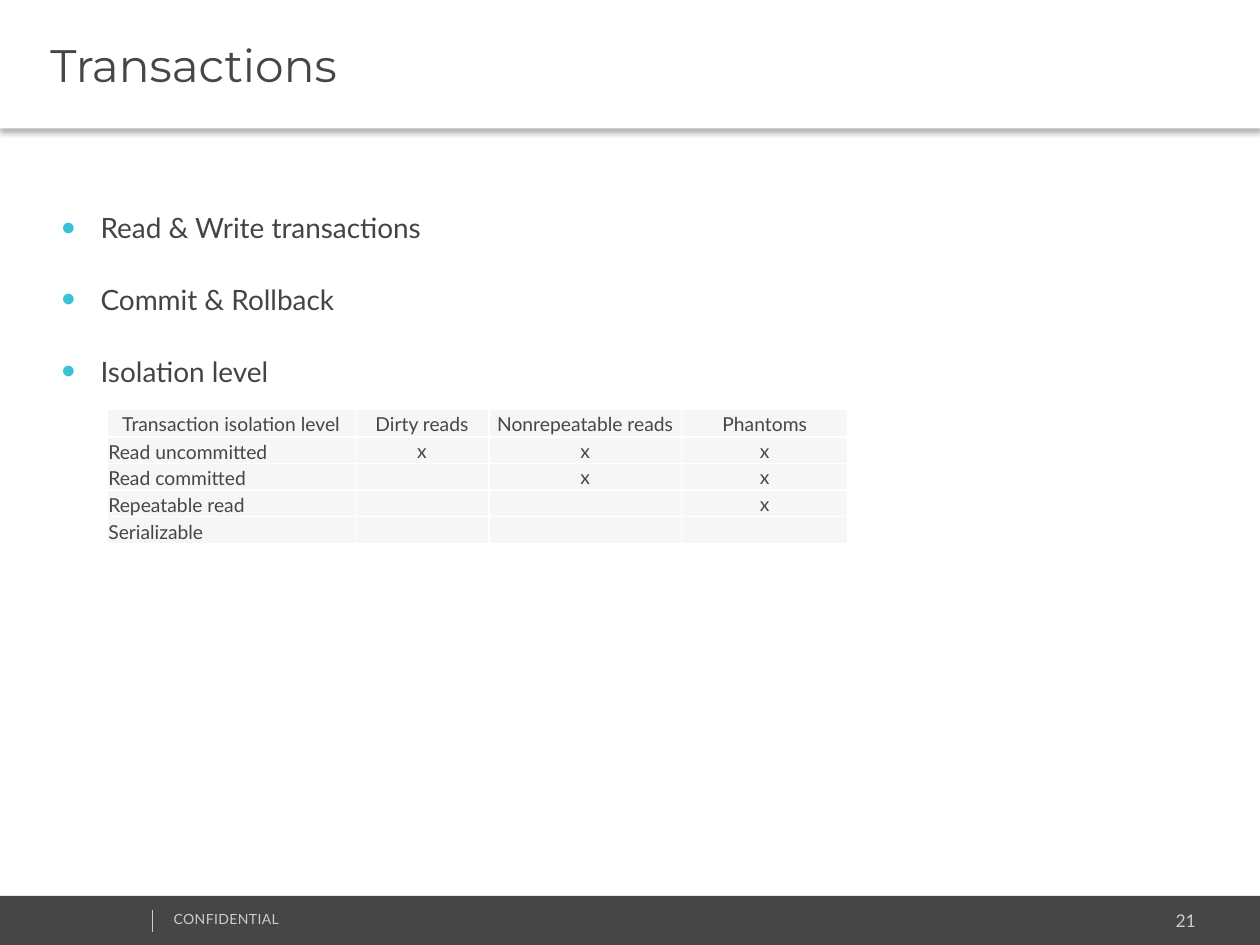
from dataclasses import dataclass

from lxml.etree import SubElement as Sub
from pptx import Presentation
from pptx.dml.color import RGBColor as RGB
from pptx.enum.shapes import MSO_CONNECTOR as Line, MSO_SHAPE as Kind
from pptx.enum.text import MSO_ANCHOR as Anchor, PP_ALIGN as Align
from pptx.oxml.ns import qn
from pptx.util import Inches, Pt

DARK, PALE, GREY, WHITE = "464547", "F6F6F6", "CCCCCC", "FFFFFF"


@dataclass
class Box:
    left: float
    top: float
    width: float
    height: float

    def rect(self) -> list:
        return [Inches(v) for v in (self.left, self.top, self.width, self.height)]


@dataclass
class Label:
    box: Box
    text: str
    size: float
    align: Align
    track: int = 0


def color(code: str) -> RGB:
    return RGB.from_string(code)


def node(root, tag: str, **attrs):
    return Sub(root, qn(tag), {k: str(v) for k, v in attrs.items()})


def write(par, text: str, size: float = 11, ink: str = DARK, face: str = "Lato",
          align: Align = Align.LEFT, track: int = 0) -> None:
    par.alignment = align
    if not text:
        node(par._p, "a:endParaRPr", sz=int(size * 100))
        return
    run = par.add_run()
    run.text = text
    run.font.size = Pt(size)
    run.font.name = face
    run.font.color.rgb = color(ink)
    if track:
        run._r.get_or_add_rPr().set("spc", str(track))


def panel(slide, box: Box, fill: str):
    shape = slide.shapes.add_shape(Kind.RECTANGLE, *box.rect())
    shape.shadow.inherit = False
    shape.fill.solid()
    shape.fill.fore_color.rgb = color(fill)
    shape.line.fill.background()
    return shape


def frame(slide, box: Box):
    body = slide.shapes.add_textbox(*box.rect()).text_frame
    body.word_wrap = True
    return body


def footer(slide) -> None:
    panel(slide, Box(0, 7.11, 10, 0.4), DARK)
    labels = [
        Label(Box(7.96, 7.17, 1.63, 0.27), "21", 10, Align.RIGHT),
        Label(Box(1.28, 7.18, 2.53, 0.24), "CONFIDENTIAL", 8, Align.LEFT, 20),
    ]
    for item in labels:
        write(frame(slide, item.box).paragraphs[0], item.text, size=item.size,
              ink=GREY, align=item.align, track=item.track)
    rule = slide.shapes.add_connector(
        Line.STRAIGHT, *[Inches(v) for v in (1.21, 7.22, 1.21, 7.4)])
    rule.line.color.rgb = color(GREY)
    rule.line.width = Pt(0.25)
    node(rule._element.spPr, "a:effectLst")


def bullets(slide, items: list[str]) -> None:
    body = frame(slide, Box(0.39, 1.57, 9.22, 5))
    for i, text in enumerate(items):
        par = body.add_paragraph() if i else body.paragraphs[0]
        write(par, text, size=16, ink="444444")
        par.line_spacing = 1.2
        par.space_after = Pt(18)
        props = par._p.get_or_add_pPr()
        props.set("marL", str(Inches(0.31)))
        props.set("indent", str(-Inches(0.31)))
        node(node(props, "a:buClr"), "a:srgbClr", val="39C2D7")
        node(props, "a:buSzPct", val=140000)
        node(props, "a:buFont", typeface="Arial")
        node(props, "a:buChar", char="•")


def header(slide, text: str) -> None:
    bar = panel(slide, Box(0, 0, 10, 1.02), WHITE)
    glow = node(bar._element.spPr.find(qn("a:effectLst")), "a:outerShdw",
                blurRad=Pt(3.1), dist=Pt(2), dir=5400000, algn="t", rotWithShape=0)
    node(node(glow, "a:srgbClr", val="000000"), "a:alpha", val=30000)
    body = bar.text_frame
    body.margin_left = Inches(0.4)
    body.vertical_anchor = Anchor.MIDDLE
    body.paragraphs[0].space_before = Pt(5)
    write(body.paragraphs[0], text, size=26, face="Montserrat")


def style(cell, text: str, left: bool) -> None:
    cell.margin_left = cell.margin_right = cell.margin_top = Inches(0.01)
    cell.margin_bottom = 0
    cell.vertical_anchor = Anchor.BOTTOM if left else Anchor.MIDDLE
    write(cell.text_frame.paragraphs[0], text,
          align=Align.LEFT if left else Align.CENTER)
    props = cell._tc.get_or_add_tcPr()
    for side in ("L", "R", "T", "B"):
        edge = node(props, f"a:ln{side}", w=Pt(1))
        node(node(edge, "a:solidFill"), "a:srgbClr", val=WHITE)
    cell.fill.solid()
    cell.fill.fore_color.rgb = color(PALE)


def matrix(slide, rows: list[list[str]]) -> None:
    widths = [1.97, 1.06, 1.53, 1.32]
    heights = [0.22, 0.21, 0.21, 0.21, 0.22]
    box = Box(0.85, 3.25, sum(widths), sum(heights))
    table = slide.shapes.add_table(len(rows), len(widths), *box.rect()).table
    for col, width in zip(table.columns, widths):
        col.width = Inches(width)
    for row, height in zip(table.rows, heights):
        row.height = Inches(height)
    for r, texts in enumerate(rows):
        for c, text in enumerate(texts):
            style(table.cell(r, c), text, left=r > 0 and c == 0)
    table.first_row = table.horz_banding = False


deck = Presentation()
deck.slide_width, deck.slide_height = Inches(10), Inches(7.5)
page = deck.slides.add_slide(deck.slide_layouts[6])
footer(page)
bullets(page, ["Read & Write transactions", "Commit & Rollback", "Isolation level"])
header(page, "Transactions")
matrix(page, [
    ["Transaction isolation level", "Dirty reads", "Nonrepeatable reads", "Phantoms"],
    ["Read uncommitted", "x", "x", "x"],
    ["Read committed", "", "x", "x"],
    ["Repeatable read", "", "", "x"],
    ["Serializable", "", "", ""],
])
deck.save("out.pptx")
